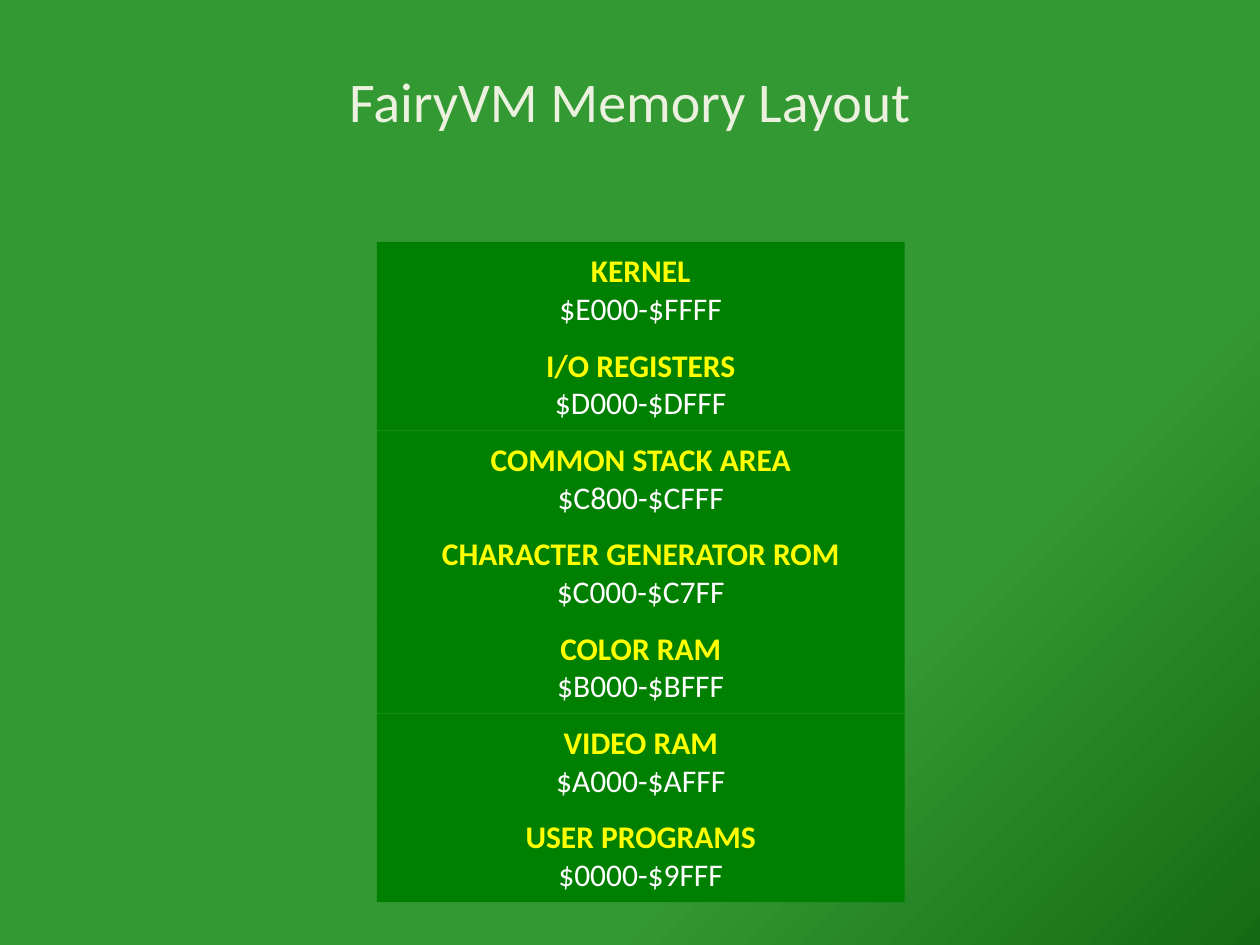
"""Build a slide that stacks the memory regions of a virtual machine."""
from pptx import Presentation
from pptx.dml.color import RGBColor
from pptx.enum.shapes import MSO_SHAPE as Shape
from pptx.enum.text import MSO_ANCHOR as Anchor, PP_ALIGN as Align
from pptx.util import Inches, Pt

WIDTH, HEIGHT = Inches(10), Inches(7.5)
FONT = "Calibri"
LIGHT_GREEN = RGBColor(0x33, 0x99, 0x33)
DARK_GREEN = RGBColor(0x15, 0x6B, 0x13)
REGION_GREEN = RGBColor(0x00, 0x80, 0x00)
CREAM = RGBColor(0xEB, 0xF1, 0xDE)
YELLOW = RGBColor(0xFF, 0xFF, 0x00)
WHITE = RGBColor(0xFF, 0xFF, 0xFF)

STACK_LEFT, STACK_TOP = Inches(2.99), Inches(1.92)
STACK_WIDTH, STACK_HEIGHT = Inches(4.19), Inches(5.24)
REGIONS = [
    ("KERNEL", "$E000-$FFFF"),
    ("I/O REGISTERS", "$D000-$DFFF"),
    ("COMMON STACK AREA", "$C800-$CFFF"),
    ("CHARACTER GENERATOR ROM", "$C000-$C7FF"),
    ("COLOR RAM", "$B000-$BFFF"),
    ("VIDEO RAM", "$A000-$AFFF"),
    ("USER PROGRAMS", "$0000-$9FFF"),
]


def write(para, text, size=18, color=WHITE, bold=False):
    """Write one centred line of text into a paragraph."""
    para.alignment = Align.CENTER
    span = para.add_run()
    span.text = text
    span.font.name = FONT
    span.font.size = Pt(size)
    span.font.bold = bold
    span.font.color.rgb = color


def paint_background(page):
    """Fill the page with a green gradient that darkens at the lower right."""
    fill = page.background.fill
    fill.gradient()
    fill.gradient_angle = 315
    stops = [(0.7, LIGHT_GREEN), (1, DARK_GREEN)]
    for stop, (position, color) in zip(fill.gradient_stops, stops):
        stop.position = position
        stop.color.rgb = color


def add_title(page, text):
    """Add the centred title, placed by shares of the page."""
    box = page.shapes.add_textbox(
        int(WIDTH * 0.1), int(HEIGHT * 0.044), int(WIDTH * 0.8), int(HEIGHT * 0.123)
    )
    frame = box.text_frame
    frame.word_wrap = True
    frame.vertical_anchor = Anchor.MIDDLE
    write(frame.paragraphs[0], text, size=32, color=CREAM)


def add_region(stack, row, name, addresses):
    """Add one memory region at its row of the stack."""
    row_height = STACK_HEIGHT // len(REGIONS)
    box = stack.shapes.add_shape(
        Shape.RECTANGLE, STACK_LEFT, STACK_TOP + row * row_height, STACK_WIDTH, row_height
    )
    box.shadow.inherit = False
    box.fill.solid()
    box.fill.fore_color.rgb = REGION_GREEN
    box.line.fill.background()
    frame = box.text_frame
    frame.word_wrap = True
    frame.vertical_anchor = Anchor.MIDDLE
    write(frame.paragraphs[0], name, color=YELLOW, bold=True)
    write(frame.add_paragraph(), addresses)


def main():
    """Build and save the deck."""
    deck = Presentation()
    deck.slide_width, deck.slide_height = WIDTH, HEIGHT
    page = deck.slides.add_slide(deck.slide_layouts[6])
    paint_background(page)
    add_title(page, "FairyVM Memory Layout")
    stack = page.shapes.add_group_shape()
    for row, (name, addresses) in enumerate(REGIONS):
        add_region(stack, row, name, addresses)
    deck.save("out.pptx")


if __name__ == "__main__":
    main()
